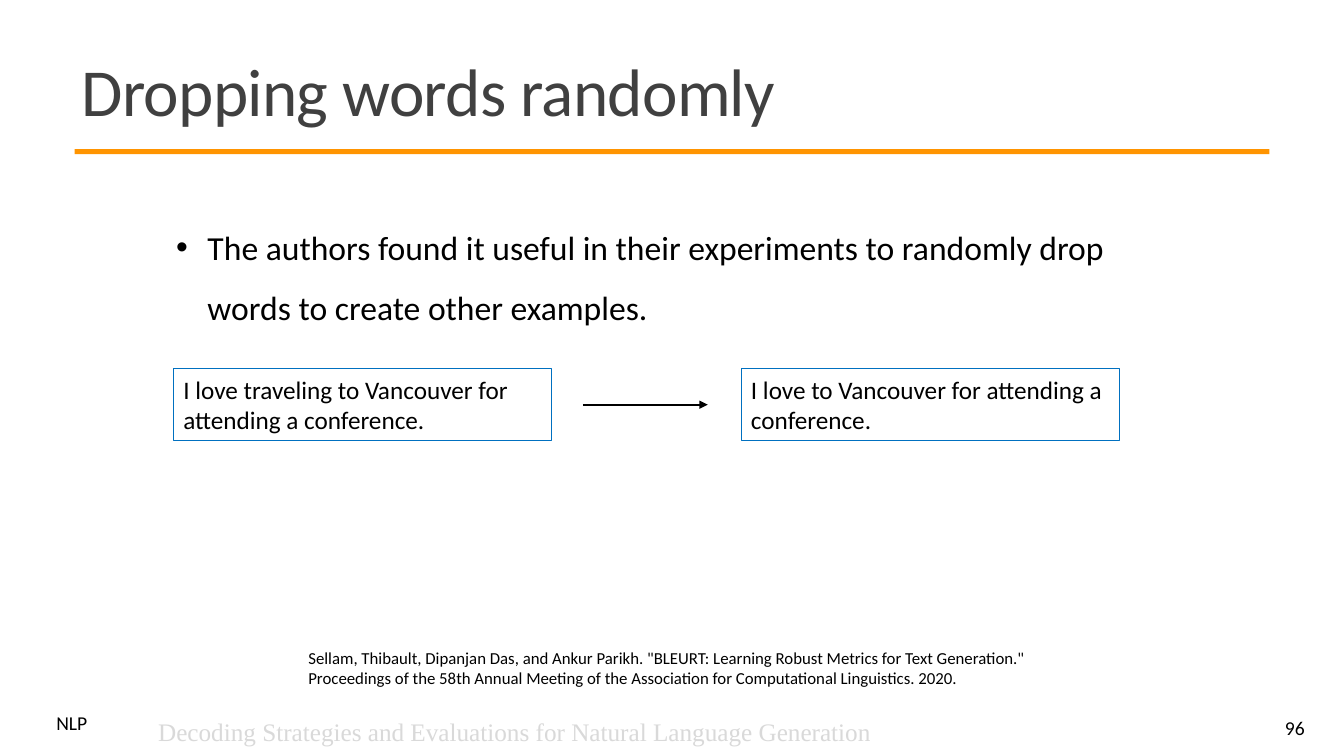
from lxml import etree
from pptx import Presentation
from pptx.dml.color import RGBColor
from pptx.enum.shapes import MSO_CONNECTOR, MSO_SHAPE
from pptx.enum.text import MSO_ANCHOR, PP_ALIGN
from pptx.oxml.ns import qn
from pptx.util import Inches, Pt

BLACK = RGBColor(0, 0, 0)
DARK = RGBColor(0x40, 0x40, 0x40)
PALE = RGBColor(0xD9, 0xD9, 0xD9)
BLUE = RGBColor(0x00, 0x70, 0xC0)
ORANGE = RGBColor(0xFF, 0x94, 0x00)
RECT = MSO_SHAPE.RECTANGLE
STRAIGHT = MSO_CONNECTOR.STRAIGHT
TOP, MIDDLE = MSO_ANCHOR.TOP, MSO_ANCHOR.MIDDLE
LEFT, RIGHT = PP_ALIGN.LEFT, PP_ALIGN.RIGHT

TITLE = "Dropping words randomly"
POINT = ("The authors found it useful in their experiments to randomly drop "
         "words to create other examples.")
SAMPLES = ["I love traveling to Vancouver for attending a conference.",
           "I love to Vancouver for attending a conference."]
SOURCE = ("Sellam, Thibault, Dipanjan Das, and Ankur Parikh. "
          "\"BLEURT: Learning Robust Metrics for Text Generation.\" "
          "Proceedings of the 58th Annual Meeting of the Association for "
          "Computational Linguistics. 2020.")
TALK = "Decoding Strategies and Evaluations for Natural Language Generation"
COURSE = "NLP"
PAGE = "96"

BOX_X, BOX_Y, BOX_W, BOX_H = 1.72, 3.66, 3.75, 0.71
STEP = 5.63
ARROW_X, ARROW_W = 5.78, 1.24
INDENT = Inches(0.31)

deck = Presentation()
deck.slide_width, deck.slide_height = Inches(13.33), Inches(7.5)
slide = deck.slides.add_slide(deck.slide_layouts[6])
shapes = slide.shapes


def write(shape, text, size, color=BLACK, face="Calibri", anchor=TOP,
          align=LEFT, lines=1.0):
    """Fill a shape with one wrapped paragraph and return the paragraph."""
    frame = shape.text_frame
    frame.word_wrap = True
    frame.vertical_anchor = anchor
    para = frame.paragraphs[0]
    para.text = text
    para.alignment = align
    para.line_spacing = lines
    para.font.size = Pt(size)
    para.font.name = face
    para.font.color.rgb = color
    return para


def label(x, y, w, h, text, size, **style):
    box = shapes.add_textbox(Inches(x), Inches(y), Inches(w), Inches(h))
    return write(box, text, size, **style)


def rect(x, y, w, h):
    shape = shapes.add_shape(RECT, Inches(x), Inches(y), Inches(w), Inches(h))
    shape.shadow.inherit = False
    return shape


def add_bullet(para):
    props = para._p.get_or_add_pPr()
    props.set("marL", str(INDENT))
    props.set("indent", str(-INDENT))
    font = etree.Element(qn("a:buFont"), typeface="Arial")
    mark = etree.Element(qn("a:buChar"), char="•")
    rest = props.find(qn("a:defRPr"))
    rest.addprevious(font)
    rest.addprevious(mark)


rule = rect(0.74, 1.48, 11.85, 0.05)
rule.fill.solid()
rule.fill.fore_color.rgb = ORANGE
rule.line.fill.background()

title = label(0.71, 0.39, 11.94, 1.13, TITLE, 48, color=DARK,
              anchor=MIDDLE, lines=0.85)
title.runs[0]._r.get_or_add_rPr().set("spc", "-50")

add_bullet(label(1.65, 2, 9.63, 1.25, POINT, 24, lines=1.5))

for i, sample in enumerate(SAMPLES):
    box = rect(BOX_X + i * STEP, BOX_Y, BOX_W, BOX_H)
    box.fill.background()
    box.line.color.rgb = BLUE
    box.line.width = Pt(0.75)
    write(box, sample, 18)

mid = Inches(BOX_Y + BOX_H / 2)
arrow = shapes.add_connector(STRAIGHT, Inches(ARROW_X), mid,
                             Inches(ARROW_X + ARROW_W), mid)
arrow.line.color.rgb = BLACK
arrow.line.width = Pt(1.5)
etree.SubElement(arrow.line._get_or_add_ln(), qn("a:tailEnd"), type="triangle")
etree.SubElement(arrow._element.spPr, qn("a:effectLst"))

label(2.96, 6.38, 7.41, 0.5, SOURCE, 12)
label(0.46, 7.05, 0.61, 0.29, COURSE, 14, lines=0.8)
label(1.47, 7.06, 7.52, 0.4, TALK, 18, color=PALE, face="Times New Roman")
label(11.61, 7.02, 1.43, 0.4, PAGE, 14, anchor=MIDDLE, align=RIGHT)

deck.save("out.pptx")
